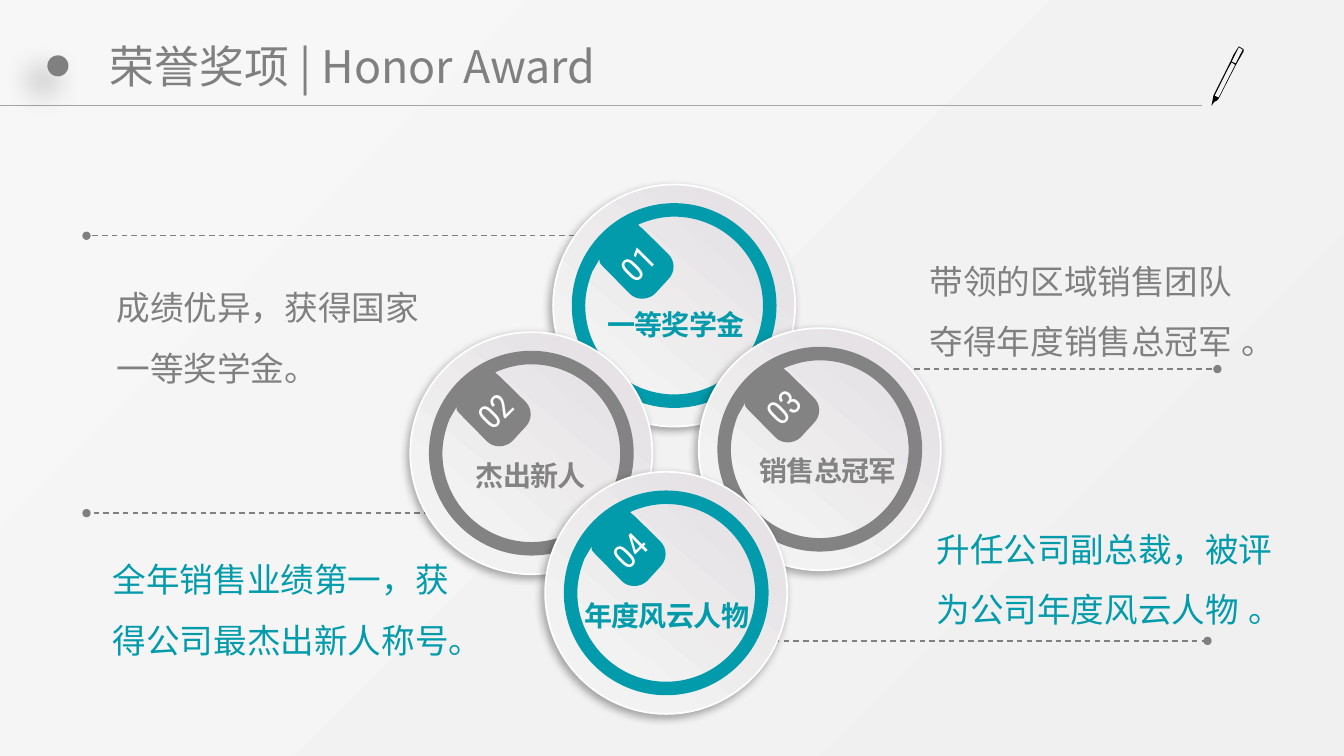
from lxml.etree import Element, SubElement
from pptx import Presentation
from pptx.dml.color import RGBColor
from pptx.enum.dml import MSO_LINE
from pptx.enum.shapes import MSO_CONNECTOR, MSO_SHAPE
from pptx.enum.text import MSO_ANCHOR, MSO_AUTO_SIZE, PP_ALIGN
from pptx.oxml.ns import qn
from pptx.util import Cm, Pt

COLORS = {
    "grey": "808080", "ring_grey": "838383", "teal": "029BAB", "rule": "A6A6A6",
    "white": "FFFFFF", "black": "000000", "disc_dark": "E2DDE1",
    "disc_light": "F2F2F2", "back_dark": "F0F0F0", "back_light": "F7F7F7",
}
CJK, BODY, NUMERAL = "Noto Sans CJK SC", "Arial", "Roboto Condensed"
WIDTH, HEIGHT = 33.87, 19.05
DISC, RING_OUTER, RING_INNER = 6.1, 2.58, 2.24


def arcs(radius, x, y, turn, quarters):
    """Return quarter-circle Bezier segments from the unit direction (x, y)."""
    segments = []
    for _ in range(quarters):
        end_x, end_y = -turn * y, turn * x
        unit = [(x + 0.55 * end_x, y + 0.55 * end_y), (end_x + 0.55 * x, end_y + 0.55 * y),
                (end_x, end_y)]
        segments.append([(radius * px, radius * py) for px, py in unit])
        x, y = end_x, end_y
    return segments


def polygon(*points):
    """Return a closed contour of straight segments."""
    return points[0], [[point] for point in points[1:]]


RING_CONTOURS = [
    ((0, -RING_INNER), [
        [(-0.3, -2.24), (-0.59, -2.17), (-0.86, -2.06)],
        [(-0.91, -2.03)], [(-0.79, -1.93)], [(-0.15, -1.3)],
        [(0.03, -1.12), (0.03, -0.84), (-0.15, -0.66)], [(-0.48, -0.3)],
        [(-0.66, -0.13), (-0.96, -0.13), (-1.12, -0.3)], [(-1.78, -0.97)],
        [(-1.82, -1.0), (-1.85, -1.05), (-1.88, -1.09)],
        [(-1.88, -1.17)], [(-2.06, -0.86)],
        [(-2.17, -0.58), (-2.24, -0.29), (-2.24, 0)],
        *arcs(RING_INNER, -1, 0, -1, 3),
    ]),
    ((0, -RING_OUTER), arcs(RING_OUTER, 0, -1, 1, 4)),
]
PEN_CONTOURS = [
    polygon((31.34, 1.24), (31.22, 1.17), (31.09, 1.37), (31.01, 1.55), (30.58, 2.41),
            (30.53, 2.67), (30.6, 2.57), (30.66, 2.54), (30.71, 2.49), (31.14, 1.65), (31.34, 1.3)),
    polygon((31.12, 1.65), (30.71, 2.46), (30.61, 2.41), (30.94, 1.75), (31.04, 1.57), (31.12, 1.63)),
    polygon((31.14, 1.6), (31.04, 1.55), (31.22, 1.19), (31.32, 1.25)),
]
AWARDS = [
    ("01", "一等奖学金", "teal", (16.99, 7.7), (17.03, 8.18)),
    ("03", "销售总冠军", "ring_grey", (20.66, 11.32), (20.87, 11.86)),
    ("02", "杰出新人", "ring_grey", (13.39, 11.42), (13.38, 11.99)),
    ("04", "年度风云人物", "teal", (16.79, 14.94), (16.8, 15.52)),
]
LEADERS = [(14.81, 2.18, 5.94), (10.92, 2.18, 12.93), (22.71, 30.68, 9.3), (19.41, 30.43, 16.15)]
STORIES = [
    ("成绩优异，获得国家一等奖学金。", "grey", (2.69, 6.6, 8.81, 3.33)),
    ("全年销售业绩第一，获得公司最杰出新人称号。", "teal", (2.59, 13.46, 9.32, 3.15)),
    ("带领的区域销售团队夺得年度销售总冠军 。", "grey", (23.18, 5.94, 8.86, 3.33)),
    ("升任公司副总裁，被评为公司年度风云人物 。", "teal", (23.35, 12.69, 9.6, 5.05)),
]


class AwardSlide:
    """Draws styled elements, measured in centimetres, on one slide."""

    def __init__(self, slide):
        self.shapes = slide.shapes

    def color(self, name):
        return RGBColor.from_string(COLORS[name])

    def gradient(self, fill, stops, angle):
        fill.gradient()
        fill.gradient_angle = angle
        for stop, (position, name) in zip(fill.gradient_stops, stops):
            stop.position = position
            stop.color.rgb = self.color(name)

    def solid(self, shape, color):
        shape.fill.solid()
        shape.fill.fore_color.rgb = self.color(color)
        shape.line.fill.background()

    def backdrop(self):
        panel = self.shapes.add_shape(MSO_SHAPE.RECTANGLE, 0, 0, Cm(WIDTH), Cm(HEIGHT))
        panel.shadow.inherit = False
        self.gradient(panel.fill, [(0, "back_dark"), (1, "back_light")], 135)
        panel.line.fill.background()
        self.shapes.title._element.addprevious(panel._element)

    def style(self, paragraph, size, face, color, bold=False, align=PP_ALIGN.LEFT):
        paragraph.alignment = align
        font = paragraph.font
        font.size, font.bold, font.name = Pt(size), bold, face
        font.color.rgb = self.color(color)
        SubElement(font._rPr, qn("a:ea")).set("typeface", face)
        return font

    def title(self, text, box):
        heading = self.shapes.title
        heading.left, heading.top, heading.width, heading.height = map(Cm, box)
        frame = heading.text_frame
        frame.text = text
        frame.auto_size = MSO_AUTO_SIZE.NONE
        frame.vertical_anchor = MSO_ANCHOR.MIDDLE
        frame.margin_left = frame.margin_right = Cm(0.18)
        frame.margin_top = frame.margin_bottom = Cm(0.09)
        self.style(frame.paragraphs[0], 32, CJK, "grey")

    def text(self, text, box, wrap=True):
        holder = self.shapes.add_textbox(*map(Cm, box))
        holder.text_frame.word_wrap = wrap
        holder.text_frame.text = text
        return holder, holder.text_frame.paragraphs[0]

    def story(self, text, color, box):
        paragraph = self.text(text, box)[1]
        paragraph.line_spacing = 1.5
        paragraph.space_after = Pt(4.5)
        self.style(paragraph, 24, BODY, color)

    def circle(self, x, y, diameter, alpha, blur, distance):
        corner = x - diameter / 2, y - diameter / 2
        disc = self.shapes.add_shape(MSO_SHAPE.OVAL, *map(Cm, (*corner, diameter, diameter)))
        disc.shadow.inherit = False
        effects = disc._element.spPr.find(qn("a:effectLst"))
        shadow = SubElement(effects, qn("a:outerShdw"), blurRad=str(Pt(blur)),
                            dist=str(Pt(distance)), dir="8100000", algn="tr", rotWithShape="0")
        tint = SubElement(shadow, qn("a:srgbClr"), val=COLORS["black"])
        SubElement(tint, qn("a:alpha"), val=str(alpha * 1000))
        return disc

    def outline(self, contours, color, x=0, y=0):
        def place(point):
            return Cm(x + point[0]), Cm(y + point[1])

        builder = self.shapes.build_freeform(*place(contours[0][0]), scale=1.0)
        for index, (start, segments) in enumerate(contours):
            if index:
                builder.move_to(*place(start))
            builder.add_line_segments([place(p) for segment in segments for p in segment])
        figure = builder.convert_to_shape()
        steps = iter(list(figure._element.iter(qn("a:lnTo"))))
        for _, segments in contours:
            for segment in segments:
                group = [next(steps) for _ in segment]
                if len(group) == 3:
                    bend = Element(qn("a:cubicBezTo"))
                    group[0].addprevious(bend)
                    for step in group:
                        bend.append(step[0])
                        step.getparent().remove(step)
                last = bend if len(group) == 3 else group[0]
            last.addnext(Element(qn("a:close")))
        figure.shadow.inherit = False
        self.solid(figure, color)

    def line(self, start, end, y, color, width, leader=False):
        rule = self.shapes.add_connector(MSO_CONNECTOR.STRAIGHT, *map(Cm, (start, y, end, y)))
        rule.line.color.rgb = self.color(color)
        rule.line.width = Pt(width)
        if leader:
            rule.line.dash_style = MSO_LINE.DASH
            for tip in ("a:headEnd", "a:tailEnd"):
                SubElement(rule.line._ln, qn(tip), type="oval")
        SubElement(rule._element.spPr, qn("a:effectLst"))

    def award(self, number, label, color, center, label_center):
        x, y = center
        disc = self.circle(x, y, DISC, 32, 6, 3)
        self.gradient(disc.fill, [(0, "disc_dark"), (0.76, "disc_light")], 230)
        disc.line.color.rgb = self.color("white")
        disc.line.width = Pt(1.25)
        self.outline(RING_CONTOURS, color, x, y)
        numeral, paragraph = self.text(number, (x - 2.16, y - 1.71, 2.46, 1.27))
        numeral.rotation = 315
        self.style(paragraph, 24, NUMERAL, "white", align=PP_ALIGN.CENTER)
        width = 0.5 + 0.7 * len(label)
        box = (label_center[0] - width / 2, label_center[1] - 0.56, width, 1.12)
        paragraph = self.text(label, box, wrap=False)[1]
        font = self.style(paragraph, 20, CJK, color, True, PP_ALIGN.CENTER)
        font._rPr.set("spc", "-50")


def main():
    deck = Presentation()
    deck.slide_width, deck.slide_height = Cm(WIDTH), Cm(HEIGHT)
    page = AwardSlide(deck.slides.add_slide(deck.slide_layouts[5]))
    page.backdrop()
    page.line(0, 30.28, 2.67, "rule", 0.75)
    page.solid(page.circle(1.46, 1.66, 0.53, 40, 22, 15), "grey")
    page.outline(PEN_CONTOURS, "black")
    page.title("荣誉奖项 | Honor Award", (2.59, 0.47, 27.71, 2.39))
    for start, end, y in LEADERS:
        page.line(start, end, y, "grey", 1, leader=True)
    for award in AWARDS:
        page.award(*award)
    for story in STORIES:
        page.story(*story)
    deck.save("out.pptx")


if __name__ == "__main__":
    main()
